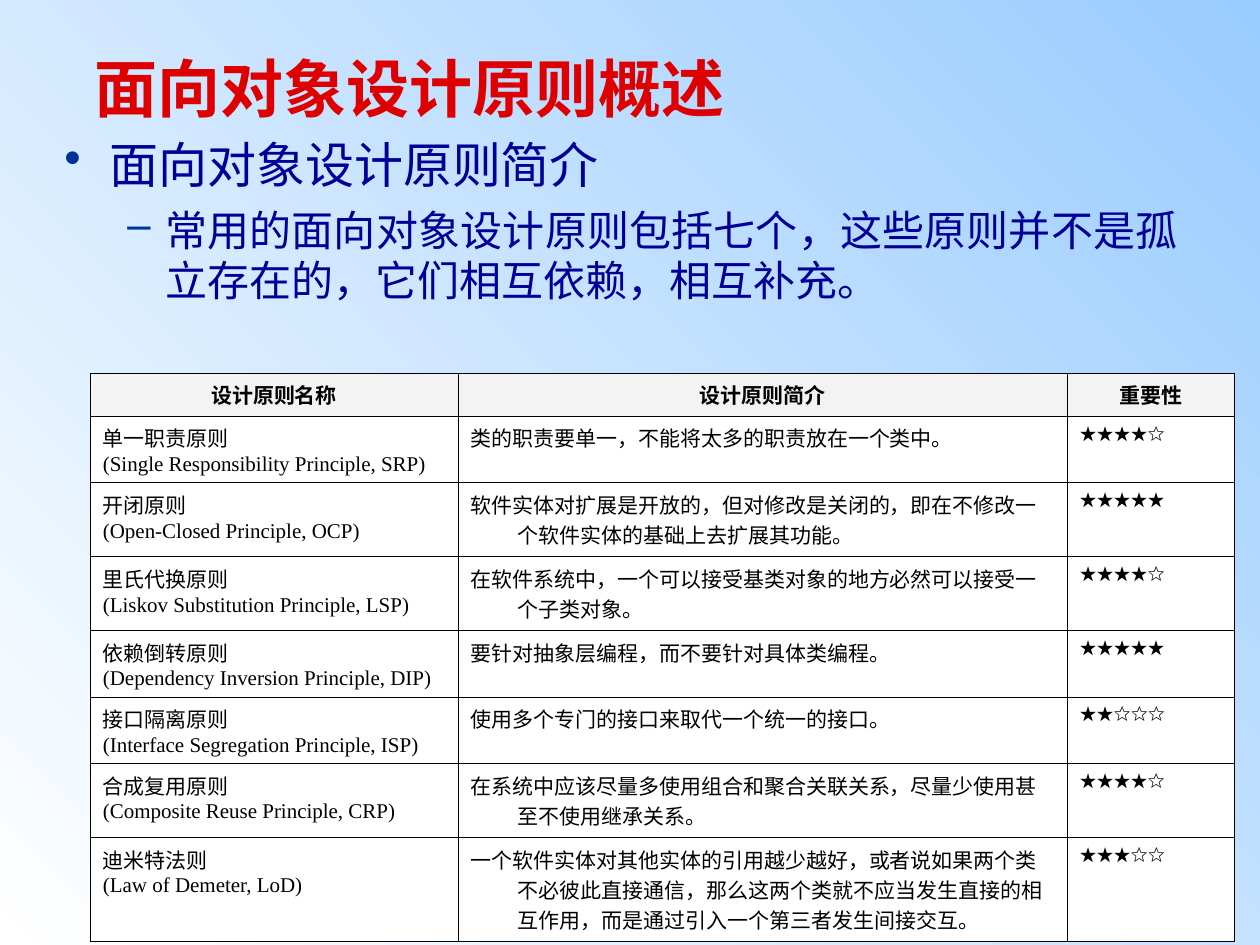
from dataclasses import dataclass

from lxml import etree
from pptx import Presentation
from pptx.dml.color import RGBColor
from pptx.enum import text as t
from pptx.oxml import ns
from pptx.util import Cm, Pt


@dataclass(frozen=True)
class Theme:
    heading_font: str = "Calibri"
    table_font: str = "Times New Roman"
    title_size: int = 36
    topic_size: int = 28
    detail_size: int = 24
    table_size: int = 12
    title: str = "DE0000"
    body: str = "000099"
    bullet: str = "003399"
    ink: str = "000000"
    header_fill: str = "F3F3F3"
    cell_fill: str = "FFFFFF"
    sky: str = "99CCFF"
    white: str = "FFFFFF"
    border_width: float = 0.45


THEME = Theme()

HEADERS = ("设计原则名称", "设计原则简介", "重要性")
PRINCIPLES = (
    ("单一职责原则", "Single Responsibility Principle, SRP",
     "类的职责要单一，不能将太多的职责放在一个类中。", 4),
    ("开闭原则", "Open-Closed Principle, OCP",
     "软件实体对扩展是开放的，但对修改是关闭的，即在不修改一个软件实体的基础上去扩展其功能。", 5),
    ("里氏代换原则", "Liskov Substitution Principle, LSP",
     "在软件系统中，一个可以接受基类对象的地方必然可以接受一个子类对象。", 4),
    ("依赖倒转原则", "Dependency Inversion Principle, DIP",
     "要针对抽象层编程，而不要针对具体类编程。", 5),
    ("接口隔离原则", "Interface Segregation Principle, ISP",
     "使用多个专门的接口来取代一个统一的接口。", 2),
    ("合成复用原则", "Composite Reuse Principle, CRP",
     "在系统中应该尽量多使用组合和聚合关联关系，尽量少使用甚至不使用继承关系。", 4),
    ("迪米特法则", "Law of Demeter, LoD",
     "一个软件实体对其他实体的引用越少越好，或者说如果两个类不必彼此直接通信，"
     "那么这两个类就不应当发生直接的相互作用，而是通过引入一个第三者发生间接交互。", 3),
)
MAX_STARS = 5
COLUMN_WIDTHS = (7.41, 12.28, 3.38)
HEADER_HEIGHT, ONE_LINE, TWO_LINES, THREE_LINES = 0.87, 1.34, 1.49, 2.1
ROW_HEIGHTS = (HEADER_HEIGHT, ONE_LINE, TWO_LINES, TWO_LINES,
               ONE_LINE, ONE_LINE, TWO_LINES, THREE_LINES)


def add_xml(parent, tag, **attributes):
    return etree.SubElement(parent, ns.qn(tag), attributes)


def style_font(para, name, size, color, bold=False):
    font = para.font
    font.name, font.size, font.bold = name, Pt(size), bold
    font.color.rgb = RGBColor.from_string(color)


def set_indent(para, left, first):
    properties = para._p.get_or_add_pPr()
    properties.set("marL", str(Cm(left)))
    properties.set("indent", str(Cm(first)))
    return properties


def set_bullet(para, left, first, mark):
    properties = set_indent(para, left, first)
    color = add_xml(properties, "a:buClr")
    add_xml(color, "a:srgbClr", val=THEME.bullet)
    add_xml(properties, "a:buChar", char=mark)


def paint_background(page):
    fill = page.background.fill
    fill.gradient()
    fill.gradient_angle = 225
    for stop, color in zip(fill.gradient_stops, (THEME.sky, THEME.white)):
        stop.color.rgb = RGBColor.from_string(color)


def add_text_box(page, left, top, width, height, anchor):
    box = page.shapes.add_textbox(Cm(left), Cm(top), Cm(width), Cm(height))
    frame = box.text_frame
    frame.word_wrap = True
    frame.vertical_anchor = anchor
    frame.margin_left = frame.margin_right = 0
    frame.margin_top = frame.margin_bottom = 0
    return frame


def add_title(page):
    frame = add_text_box(page, 1.9, 0.82, 17.58, 1.9, t.MSO_ANCHOR.MIDDLE)
    para = frame.paragraphs[0]
    para.text = "面向对象设计原则概述"
    style_font(para, THEME.heading_font, THEME.title_size, THEME.title, True)


def add_body(page):
    frame = add_text_box(page, 1.3, 2.72, 22.45, 14.81, t.MSO_ANCHOR.TOP)
    topic = frame.paragraphs[0]
    topic.text = "面向对象设计原则简介"
    set_bullet(topic, 0.91, -0.91, "•")
    style_font(topic, THEME.heading_font, THEME.topic_size, THEME.body)

    detail = frame.add_paragraph()
    detail.text = "常用的面向对象设计原则包括七个，这些原则并不是孤立存在的，它们相互依赖，相互补充。"
    detail.level = 1
    set_bullet(detail, 2.03, -0.76, "–")
    detail.alignment = t.PP_ALIGN.JUSTIFY
    detail.space_before = Pt(6)
    style_font(detail, THEME.heading_font, THEME.detail_size, THEME.body)


def set_borders(cell):
    properties = cell._tc.get_or_add_tcPr()
    for side in ("a:lnL", "a:lnR", "a:lnT", "a:lnB"):
        line = add_xml(properties, side, w=str(Pt(THEME.border_width)))
        add_xml(add_xml(line, "a:solidFill"), "a:srgbClr", val=THEME.ink)


def fill_cell(cell, content, header):
    set_borders(cell)
    cell.fill.solid()
    cell.fill.fore_color.rgb = RGBColor.from_string(
        THEME.header_fill if header else THEME.cell_fill)
    cell.text = content
    for para in cell.text_frame.paragraphs:
        set_indent(para, 0.95, -0.95)
        para.alignment = t.PP_ALIGN.CENTER if header else t.PP_ALIGN.LEFT
        style_font(para, THEME.table_font, THEME.table_size, THEME.ink, header)


def add_principle_table(page):
    rows = [HEADERS]
    for name, english, summary, stars in PRINCIPLES:
        rating = "★" * stars + "☆" * (MAX_STARS - stars)
        rows.append((f"{name}\n({english})", summary, rating))
    table = page.shapes.add_table(
        len(rows), len(HEADERS), Cm(1.82), Cm(7.52),
        Cm(sum(COLUMN_WIDTHS)), Cm(sum(ROW_HEIGHTS))).table
    table.first_row = table.horz_banding = False
    for column, width in zip(table.columns, COLUMN_WIDTHS):
        column.width = Cm(width)
    for index, (contents, height) in enumerate(zip(rows, ROW_HEIGHTS)):
        table.rows[index].height = Cm(height)
        for cell, content in zip(table.rows[index].cells, contents):
            fill_cell(cell, content, header=index == 0)


def main():
    deck = Presentation()
    deck.slide_width, deck.slide_height = Cm(25.4), Cm(19.05)
    page = deck.slides.add_slide(deck.slide_layouts[6])
    paint_background(page)
    add_title(page)
    add_body(page)
    add_principle_table(page)
    deck.save("out.pptx")


if __name__ == "__main__":
    main()
